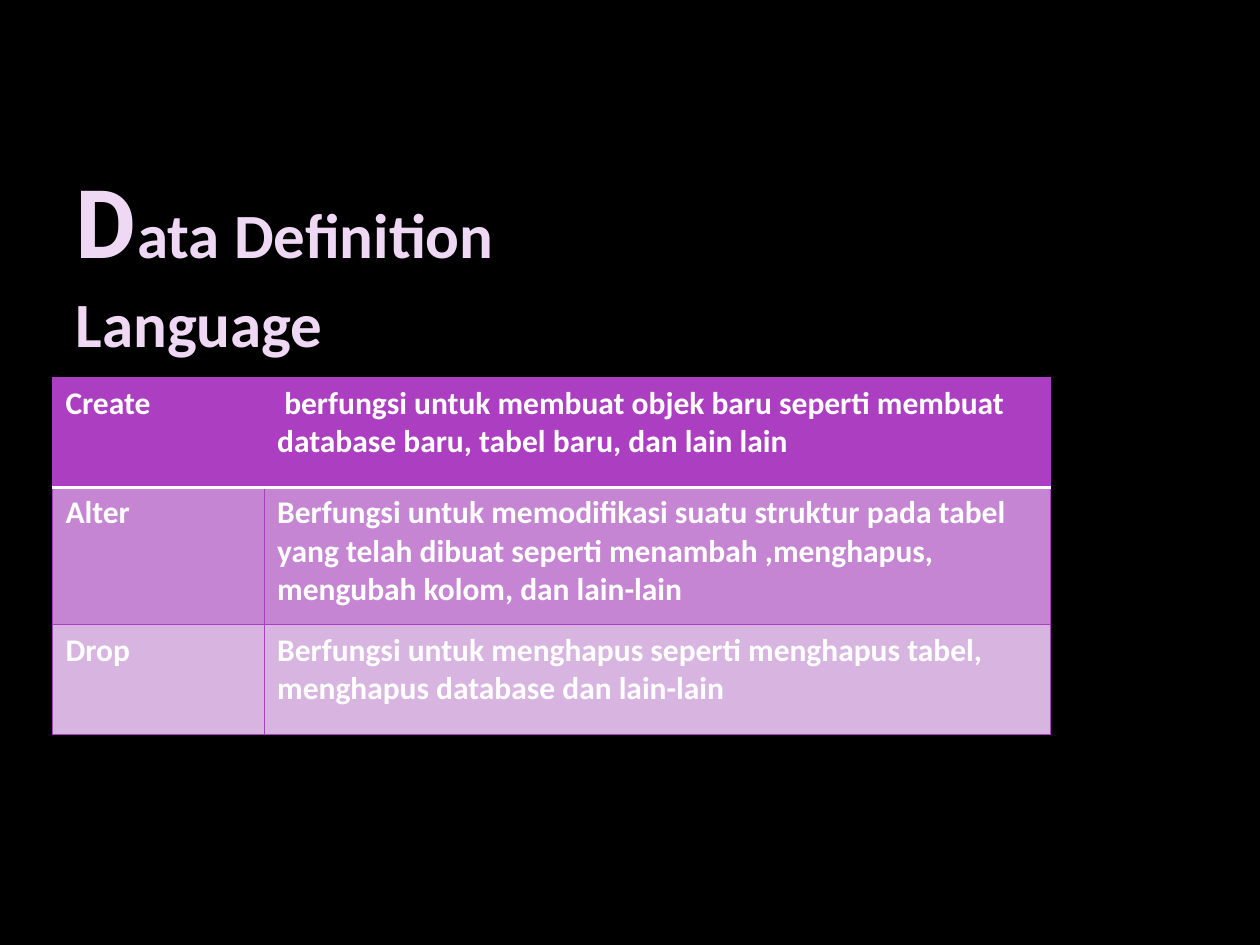
from lxml import etree
from pptx import Presentation
from pptx.dml.color import RGBColor
from pptx.enum import text
from pptx.oxml import ns
from pptx.util import Inches, Pt

PURPLE, WHITE = "AC3EC1", "FFFFFF"


def paint(target, color):
    """Give a fill a solid colour."""
    target.solid()
    target.fore_color.rgb = RGBColor.from_string(color)


def add_border(cell, side, color, width):
    """Draw one side (L, R, T or B) of a cell; call before filling the cell."""
    line = etree.SubElement(cell._tc.get_or_add_tcPr(), ns.qn(f"a:ln{side}"), w=str(Pt(width)))
    fill = etree.SubElement(line, ns.qn("a:solidFill"))
    etree.SubElement(fill, ns.qn("a:srgbClr"), val=color)


deck = Presentation()
deck.slide_width, deck.slide_height = Inches(10), Inches(7.5)
page = deck.slides.add_slide(deck.slide_layouts[5])
paint(page.background.fill, "000000")

# Title with a large initial
title = page.shapes.title
title.left, title.top = Inches(0.5), Inches(1.58)
title.width, title.height = Inches(5.5), Inches(1.33)
frame = title.text_frame
frame.word_wrap = True
frame.auto_size = text.MSO_AUTO_SIZE.NONE
frame.vertical_anchor = text.MSO_ANCHOR.BOTTOM
para = frame.paragraphs[0]
para.alignment = text.PP_ALIGN.LEFT
para.line_spacing = 1.1
for words, size, font in [("D", 54, "Roboto"), ("ata Definition Language", 36, "Calibri")]:
    span = para.add_run()
    span.text = words
    span.font.name, span.font.size, span.font.bold = font, Pt(size), True
    paint(span.font.fill, "EED8F3")

# Table of DDL commands: command, purpose, row height, row colour
commands = [
    ("Create", " berfungsi untuk membuat objek baru seperti membuat database baru, "
     "tabel baru, dan lain lain", 0.87, PURPLE),
    ("Alter", "Berfungsi untuk memodifikasi suatu struktur pada tabel yang telah dibuat "
     "seperti menambah ,menghapus, mengubah kolom, dan lain-lain", 1.09, "C585D3"),
    ("Drop", "Berfungsi untuk menghapus seperti menghapus tabel, menghapus database "
     "dan lain-lain", 0.87, "D8B4E0"),
]
table = page.shapes.add_table(
    len(commands), 2, Inches(0.42), Inches(3), Inches(7.92), Inches(2.83)).table
table.first_row = table.horz_banding = False
table.columns[0].width, table.columns[1].width = Inches(1.68), Inches(6.24)

for row, (command, purpose, height, color) in enumerate(commands):
    table.rows[row].height = Inches(height)
    for column, words in enumerate((command, purpose)):
        cell = table.cell(row, column)
        cell.text_frame.text = words
        font = cell.text_frame.paragraphs[0].runs[0].font
        font.name, font.size, font.bold = "Calibri", Pt(18), True
        paint(font.fill, WHITE)
        for side in "LRTB":
            header_rule = (row, side) in [(0, "B"), (1, "T")]
            add_border(cell, side, WHITE if header_rule else PURPLE, 1.5 if header_rule else 0.75)
        paint(cell.fill, color)

deck.save("out.pptx")
